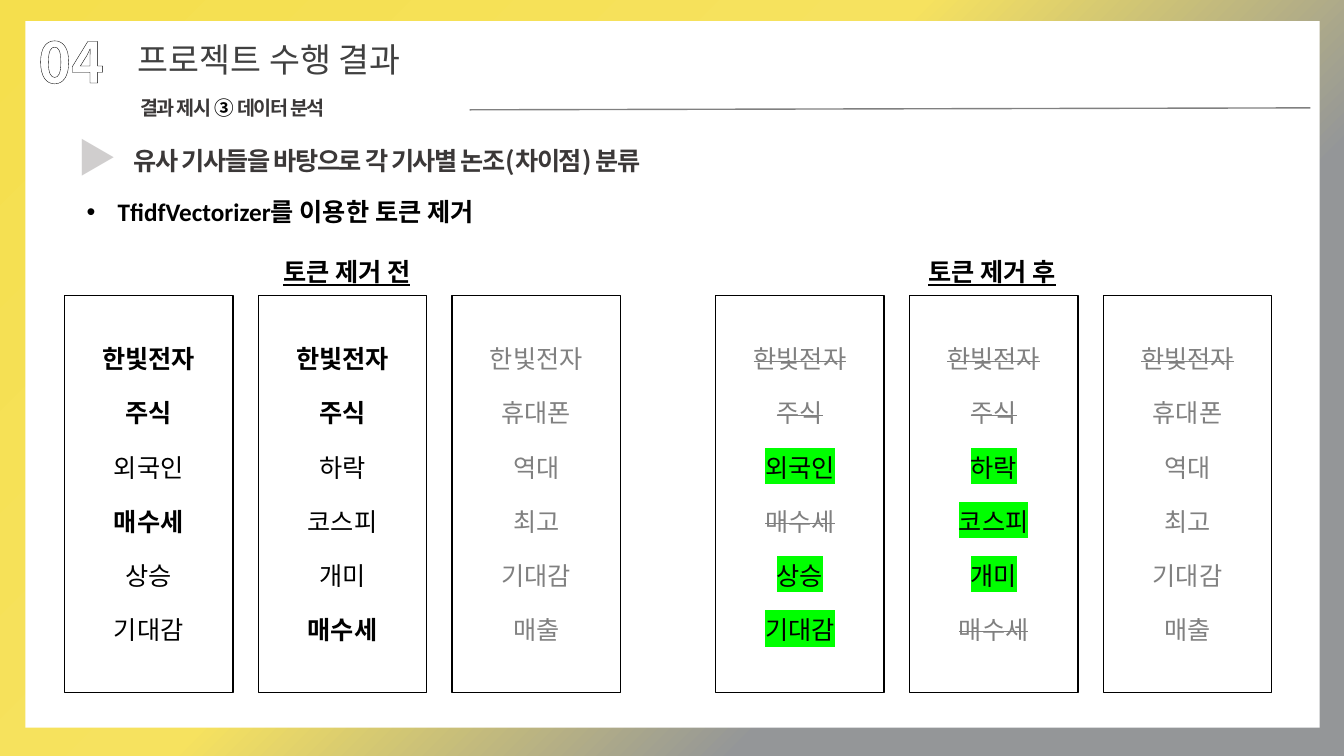
"""Builds the slide that compares article tokens before and after removal."""
from dataclasses import dataclass, field
from typing import Any

from lxml.etree import SubElement
from pptx import Presentation
from pptx.dml.color import RGBColor
from pptx.enum.dml import MSO_PATTERN
from pptx.enum.shapes import MSO_CONNECTOR as Connector, MSO_SHAPE as Preset
from pptx.enum.text import MSO_ANCHOR as Anchor, MSO_AUTO_SIZE as AutoSize, PP_ALIGN as Align
from pptx.oxml import parse_xml
from pptx.oxml.ns import nsdecls, qn
from pptx.util import Inches, Pt

BLACK = RGBColor(0x00, 0x00, 0x00)
WHITE = RGBColor(0xFF, 0xFF, 0xFF)
CHARCOAL = RGBColor(0x3B, 0x38, 0x38)
TITLE_GRAY = RGBColor(0x40, 0x40, 0x40)
MID_GRAY = RGBColor(0x80, 0x80, 0x80)
STEEL = RGBColor(0x93, 0x95, 0x97)
PALE_GRAY = RGBColor(0xD0, 0xCE, 0xCE)
GREEN = RGBColor(0x00, 0xFF, 0x00)
YELLOW = RGBColor(0xF5, 0xDF, 0x4D)
LIGHT_YELLOW = RGBColor(0xF6, 0xE2, 0x5F)
LIGHT_STEEL = RGBColor(0x94, 0x96, 0x98)

NOTO = "Noto Sans CJK KR"
CALIBRI = "Calibri"
SLIDE_WIDTH, SLIDE_HEIGHT = Inches(13.333), Inches(7.5)
BACKDROP_STOPS = ((0, YELLOW, 100), (44, LIGHT_YELLOW, 70), (71, LIGHT_STEEL, 70), (100, STEEL, 100))


@dataclass(frozen=True)
class Area:
    """Place on the slide, in percent of its width and height."""
    left: float
    top: float
    width: float
    height: float

    def lengths(self) -> tuple[int, int, int, int]:
        """Return the left, top, width and height as slide lengths."""
        return (across(self.left), down(self.top), across(self.width), down(self.height))


@dataclass(frozen=True)
class Style:
    """Look of a run of text."""
    font: dict[str, Any]
    color: RGBColor = BLACK
    spacing: int = 0
    strike: bool = False
    highlight: RGBColor | None = None
    pattern_back: RGBColor | None = None
    outline: tuple[RGBColor, float] | None = None


@dataclass(frozen=True)
class Label:
    """Text box with one line of runs."""
    area: Area
    runs: tuple[tuple[str, Style], ...]
    layout: dict[str, Any] = field(default_factory=dict)
    wrap: bool = True
    bullet: bool = False


@dataclass(frozen=True)
class TokenGroup:
    """Caption and three token columns."""
    left: float
    caption_left: float
    caption: str
    columns: tuple[tuple[tuple[str, Style], ...], ...]


def noto(size: int, bold: bool = True) -> dict[str, Any]:
    """Return Noto font values."""
    return {"name": NOTO, "size": Pt(size), "bold": bold}


def calibri(bold: bool = False, underline: bool = False) -> dict[str, Any]:
    """Return Calibri font values."""
    return {"name": CALIBRI, "size": Pt(18), "bold": bold, "underline": underline}


SHARED = Style(calibri(bold=True))
PLAIN = Style(calibri())
FADED = Style(calibri(), MID_GRAY)
STRUCK = Style(calibri(), MID_GRAY, strike=True)
KEPT = Style(calibri(), highlight=GREEN)
CAPTION = Style(calibri(bold=True, underline=True))
SUBTITLE = Style(noto(14), CHARCOAL, spacing=-100)
CENTERED = {"alignment": Align.CENTER}

LABELS = (
    Label(Area(9.23, 18.53, 60.83, 5.33),
          (("유사 기사들을 바탕으로 각 기사별 논조(차이점) 분류", Style(noto(18), CHARCOAL, spacing=-100)),)),
    Label(Area(9.68, 12, 22.88, 4.53),
          (("결과 제시 ", SUBTITLE), ("③ ", Style(noto(14), spacing=-100)), ("데이터 분석", SUBTITLE))),
    Label(Area(5.03, 16.93, 4.13, 7.6),
          (("▶", Style(noto(28), STEEL, pattern_back=PALE_GRAY, outline=(STEEL, 1))),)),
    Label(Area(2.1, 2.93, 9.53, 10.27),
          (("04", Style(noto(40), CHARCOAL, pattern_back=WHITE, outline=(BLACK, 1.25))),)),
    Label(Area(9.53, 4.53, 24.23, 6.67),
          (("프로젝트 수행 결과", Style(noto(24, bold=False), TITLE_GRAY)),), wrap=False),
    Label(Area(5.7, 25.33, 68.48, 5.33), (("TfidfVectorizer를 이용한 토큰 제거", SHARED),), bullet=True),
)

GROUPS = (
    TokenGroup(4.8, 19.43, "토큰 제거 전", (
        (("한빛전자", SHARED), ("주식", SHARED), ("외국인", PLAIN),
         ("매수세", SHARED), ("상승", PLAIN), ("기대감", PLAIN)),
        (("한빛전자", SHARED), ("주식", SHARED), ("하락", PLAIN),
         ("코스피", PLAIN), ("개미", PLAIN), ("매수세", SHARED)),
        (("한빛전자", FADED), ("휴대폰", FADED), ("역대", FADED),
         ("최고", FADED), ("기대감", FADED), ("매출", FADED)))),
    TokenGroup(53.25, 67.43, "토큰 제거 후", (
        (("한빛전자", STRUCK), ("주식", STRUCK), ("외국인", KEPT),
         ("매수세", STRUCK), ("상승", KEPT), ("기대감", KEPT)),
        (("한빛전자", STRUCK), ("주식", STRUCK), ("하락", KEPT),
         ("코스피", KEPT), ("개미", KEPT), ("매수세", STRUCK)),
        (("한빛전자", STRUCK), ("휴대폰", FADED), ("역대", FADED),
         ("최고", FADED), ("기대감", FADED), ("매출", FADED)))),
)
COLUMN_PITCH = 14.42


def across(percent: float) -> int:
    """Return a share of the slide's width."""
    return round(SLIDE_WIDTH * percent / 100)


def down(percent: float) -> int:
    """Return a share of the slide's height."""
    return round(SLIDE_HEIGHT * percent / 100)


def apply(target: Any, values: dict[str, Any]) -> None:
    """Set each format value on the target."""
    for name, value in values.items():
        setattr(target, name, value)


def add_run(paragraph: Any, text: str, style: Style) -> None:
    """Add a styled run to a paragraph."""
    run = paragraph.add_run()
    run.text = text
    apply(run.font, style.font)
    properties = run._r.get_or_add_rPr()
    SubElement(properties, qn("a:ea")).set("typeface", NOTO)
    if style.pattern_back is not None:
        fill = run.font.fill
        fill.patterned()
        apply(fill, {"pattern": MSO_PATTERN.DARK_UPWARD_DIAGONAL})
        fill.fore_color.rgb, fill.back_color.rgb = style.color, style.pattern_back
    else:
        run.font.color.rgb = style.color
    if style.spacing:
        properties.set("spc", str(style.spacing))
    if style.strike:
        properties.set("strike", "sngStrike")
    if style.highlight is not None:
        properties.find(qn("a:solidFill")).addnext(parse_xml(
            f'<a:highlight {nsdecls("a")}><a:srgbClr val="{style.highlight}"/></a:highlight>'))
    if style.outline is not None:
        color, width = style.outline
        properties.insert(0, parse_xml(
            f'<a:ln {nsdecls("a")} w="{Pt(width)}"><a:solidFill>'
            f'<a:srgbClr val="{color}"/></a:solidFill></a:ln>'))


def add_label(slide: Any, label: Label) -> None:
    """Draw a text box."""
    frame = slide.shapes.add_textbox(*label.area.lengths()).text_frame
    apply(frame, {"word_wrap": label.wrap, "auto_size": AutoSize.SHAPE_TO_FIT_TEXT})
    paragraph = frame.paragraphs[0]
    apply(paragraph, label.layout)
    if label.bullet:
        properties = paragraph._p.get_or_add_pPr()
        properties.set("marL", str(Inches(0.31)))
        properties.set("indent", str(-Inches(0.31)))
        SubElement(properties, qn("a:buFont")).set("typeface", "Arial")
        SubElement(properties, qn("a:buChar")).set("char", "•")
    for text, style in label.runs:
        add_run(paragraph, text, style)


def add_rectangle(slide: Any, area: Area) -> Any:
    """Draw a rectangle without shadow and return it."""
    shape = slide.shapes.add_shape(Preset.RECTANGLE, *area.lengths())
    shape.shadow.inherit = False
    return shape


def add_group(slide: Any, group: TokenGroup) -> None:
    """Draw the token columns of a group and their caption."""
    for index, tokens in enumerate(group.columns):
        shape = add_rectangle(slide, Area(group.left + index * COLUMN_PITCH, 39.07, 12.53, 52.53))
        shape.fill.background()
        shape.line.color.rgb, shape.line.width = BLACK, Pt(1)
        frame = shape.text_frame
        apply(frame, {"word_wrap": True, "vertical_anchor": Anchor.MIDDLE})
        for row, (text, style) in enumerate(tokens):
            paragraph = frame.add_paragraph() if row else frame.paragraphs[0]
            apply(paragraph, {**CENTERED, "space_before": Pt(17 if row else 0)})
            add_run(paragraph, text, style)
    add_label(slide, Label(Area(group.caption_left, 33.2, 12.75, 5.33), ((group.caption, CAPTION),), CENTERED))


def paint_backdrop(slide: Any) -> None:
    """Fill the background with the diagonal gradient."""
    fill = slide.background.fill
    fill.gradient()
    fill.gradient_angle = 315
    stops = next(slide.element.iter(qn("a:gsLst")))
    for stop in list(stops):
        stops.remove(stop)
    for position, color, alpha in BACKDROP_STOPS:
        stops.append(parse_xml(
            f'<a:gs {nsdecls("a")} pos="{position * 1000}"><a:srgbClr val="{color}">'
            f'<a:alpha val="{alpha * 1000}"/></a:srgbClr></a:gs>'))


def main() -> None:
    """Build and save the presentation."""
    presentation = Presentation()
    apply(presentation, {"slide_width": SLIDE_WIDTH, "slide_height": SLIDE_HEIGHT})
    slide = presentation.slides.add_slide(presentation.slide_layouts[6])
    paint_backdrop(slide)
    panel = add_rectangle(slide, Area(1.88, 2.8, 96.3, 93.47))
    panel.fill.solid()
    panel.fill.fore_color.rgb = WHITE
    panel.line.fill.background()
    rule = slide.shapes.add_connector(
        Connector.STRAIGHT, across(34.95), down(14.53), across(97.5), down(14.27))
    rule.line.color.rgb, rule.line.width = MID_GRAY, Pt(1)
    SubElement(rule._element.spPr, qn("a:effectLst"))
    for label in LABELS:
        add_label(slide, label)
    for group in GROUPS:
        add_group(slide, group)
    presentation.save("out.pptx")


if __name__ == "__main__":
    main()
